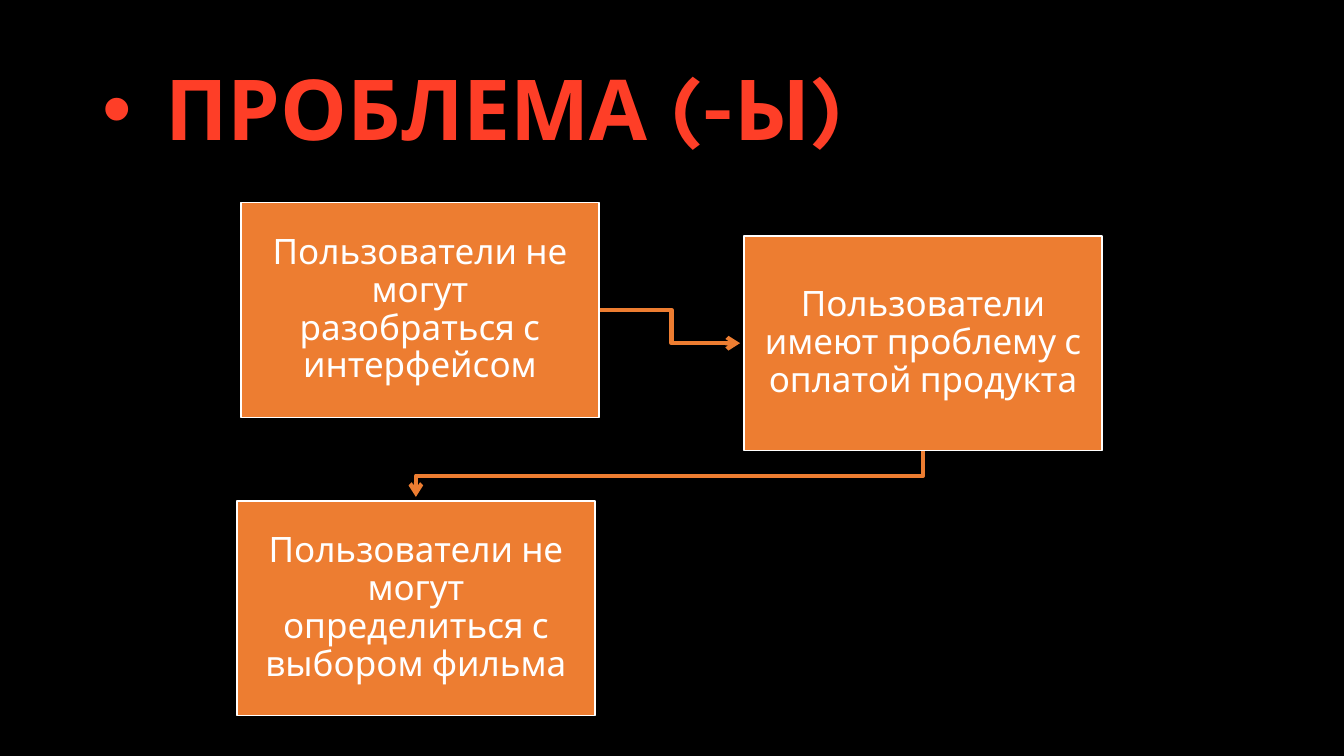
from dataclasses import dataclass

from lxml.etree import SubElement
from pptx import Presentation
from pptx.dml.color import RGBColor
from pptx.enum.shapes import MSO_SHAPE as Preset
from pptx.enum.text import MSO_ANCHOR as Anchor, PP_ALIGN as Align
from pptx.oxml.ns import qn
from pptx.slide import Slide
from pptx.util import Inches, Length, Pt


@dataclass(frozen=True)
class Theme:
    background: RGBColor = RGBColor(0x00, 0x00, 0x00)
    heading: RGBColor = RGBColor(0xFE, 0x3E, 0x27)
    accent: RGBColor = RGBColor(0xED, 0x7D, 0x31)
    light: RGBColor = RGBColor(0xFF, 0xFF, 0xFF)
    font: str = "Karla"
    heading_size: Length = Pt(60)
    problem_size: Length = Pt(25)
    outline: Length = Pt(1)
    arrow: Length = Pt(3)
    line_spacing: float = 0.9


@dataclass(frozen=True)
class Problem:
    text: str
    left: Length
    top: Length
    width: Length = Inches(3.55)
    height: Length = Inches(2.13)

    @property
    def right(self) -> int:
        return self.left + self.width

    @property
    def bottom(self) -> int:
        return self.top + self.height

    @property
    def center(self) -> int:
        return self.left + self.width // 2

    @property
    def middle(self) -> int:
        return self.top + self.height // 2


THEME = Theme()
ARROW_GAP = Inches(0.04)
PADDING = Inches(0.19)
BULLET_INDENT = Inches(0.62)

INTERFACE = Problem(
    "Пользователи не могут разобраться с интерфейсом", Inches(2.39), Inches(2.01)
)
PAYMENT = Problem(
    "Пользователи имеют проблему с оплатой продукта", Inches(7.38), Inches(2.34)
)
CHOICE = Problem(
    "Пользователи не могут определиться с выбором фильма", Inches(2.35), Inches(4.97)
)


def style_text(paragraph, size: Length, color: RGBColor, bold: bool = False) -> None:
    paragraph.line_spacing = THEME.line_spacing
    paragraph.font.name = THEME.font
    paragraph.font.size = size
    paragraph.font.bold = bold
    paragraph.font.color.rgb = color


def draw_heading(slide: Slide, text: str) -> None:
    heading = slide.shapes.add_textbox(
        Inches(0.92), Inches(0.4), Inches(11.5), Inches(1.45)
    )
    frame = heading.text_frame
    frame.word_wrap = True
    frame.vertical_anchor = Anchor.MIDDLE
    frame.text = text
    paragraph = frame.paragraphs[0]
    style_text(paragraph, THEME.heading_size, THEME.heading, bold=True)
    properties = paragraph._p.get_or_add_pPr()
    properties.set("marL", str(BULLET_INDENT))
    properties.set("indent", str(-BULLET_INDENT))
    bullet_font = SubElement(properties, qn("a:buFont"))
    bullet_font.set("typeface", "Arial")
    SubElement(properties, qn("a:buChar")).set("char", "•")


def draw_problem(slide: Slide, problem: Problem) -> None:
    box = slide.shapes.add_shape(
        Preset.RECTANGLE, problem.left, problem.top, problem.width, problem.height
    )
    box.shadow.inherit = False
    box.fill.solid()
    box.fill.fore_color.rgb = THEME.accent
    box.line.color.rgb = THEME.light
    box.line.width = THEME.outline
    frame = box.text_frame
    frame.word_wrap = True
    frame.vertical_anchor = Anchor.MIDDLE
    frame.margin_left = frame.margin_right = PADDING
    frame.margin_top = frame.margin_bottom = PADDING
    frame.text = problem.text
    paragraph = frame.paragraphs[0]
    paragraph.alignment = Align.CENTER
    style_text(paragraph, THEME.problem_size, THEME.light)


def draw_arrow(slide: Slide, points: list[tuple[int, int]]) -> None:
    start, *bends = points
    builder = slide.shapes.build_freeform(*start)
    builder.add_line_segments(bends, close=False)
    arrow = builder.convert_to_shape()
    arrow.shadow.inherit = False
    arrow.fill.background()
    arrow.line.color.rgb = THEME.accent
    arrow.line.width = THEME.arrow
    SubElement(arrow.line._get_or_add_ln(), qn("a:tailEnd")).set("type", "arrow")


def sideways(source: Problem, target: Problem) -> list[tuple[int, int]]:
    bend = (source.right + target.left) // 2
    return [
        (source.right, source.middle),
        (bend, source.middle),
        (bend, target.middle),
        (target.left - ARROW_GAP, target.middle),
    ]


def downwards(source: Problem, target: Problem) -> list[tuple[int, int]]:
    bend = (source.bottom + target.top) // 2
    return [
        (source.center, source.bottom),
        (source.center, bend),
        (target.center, bend),
        (target.center, target.top - ARROW_GAP),
    ]


def main() -> None:
    deck = Presentation()
    deck.slide_width, deck.slide_height = Inches(13.33), Inches(7.5)
    slide = deck.slides.add_slide(deck.slide_layouts[6])
    slide.background.fill.solid()
    slide.background.fill.fore_color.rgb = THEME.background

    draw_heading(slide, "ПРОБЛЕМА (-Ы)")
    for route in (sideways(INTERFACE, PAYMENT), downwards(PAYMENT, CHOICE)):
        draw_arrow(slide, route)
    for problem in (INTERFACE, PAYMENT, CHOICE):
        draw_problem(slide, problem)

    deck.save("out.pptx")


main()
